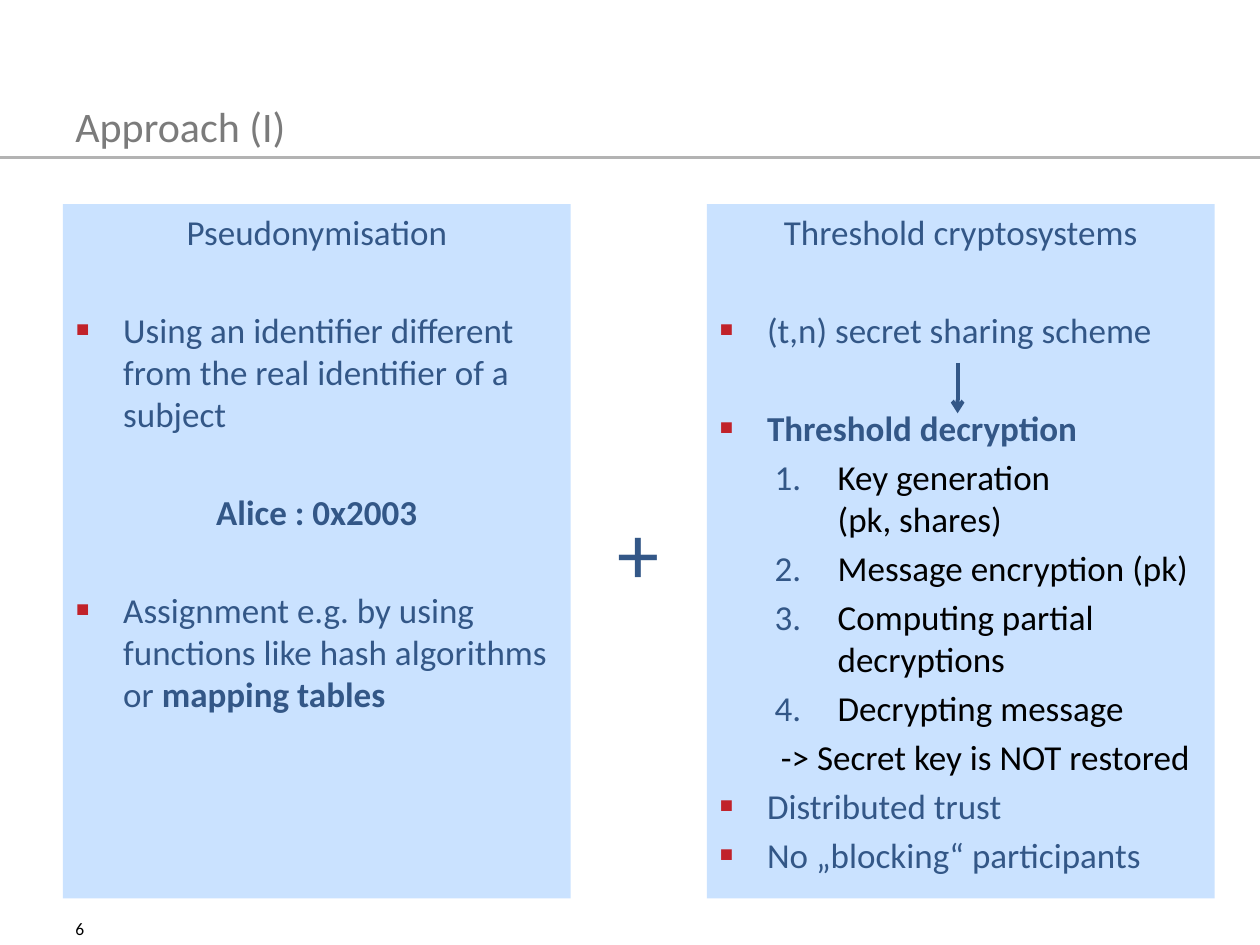
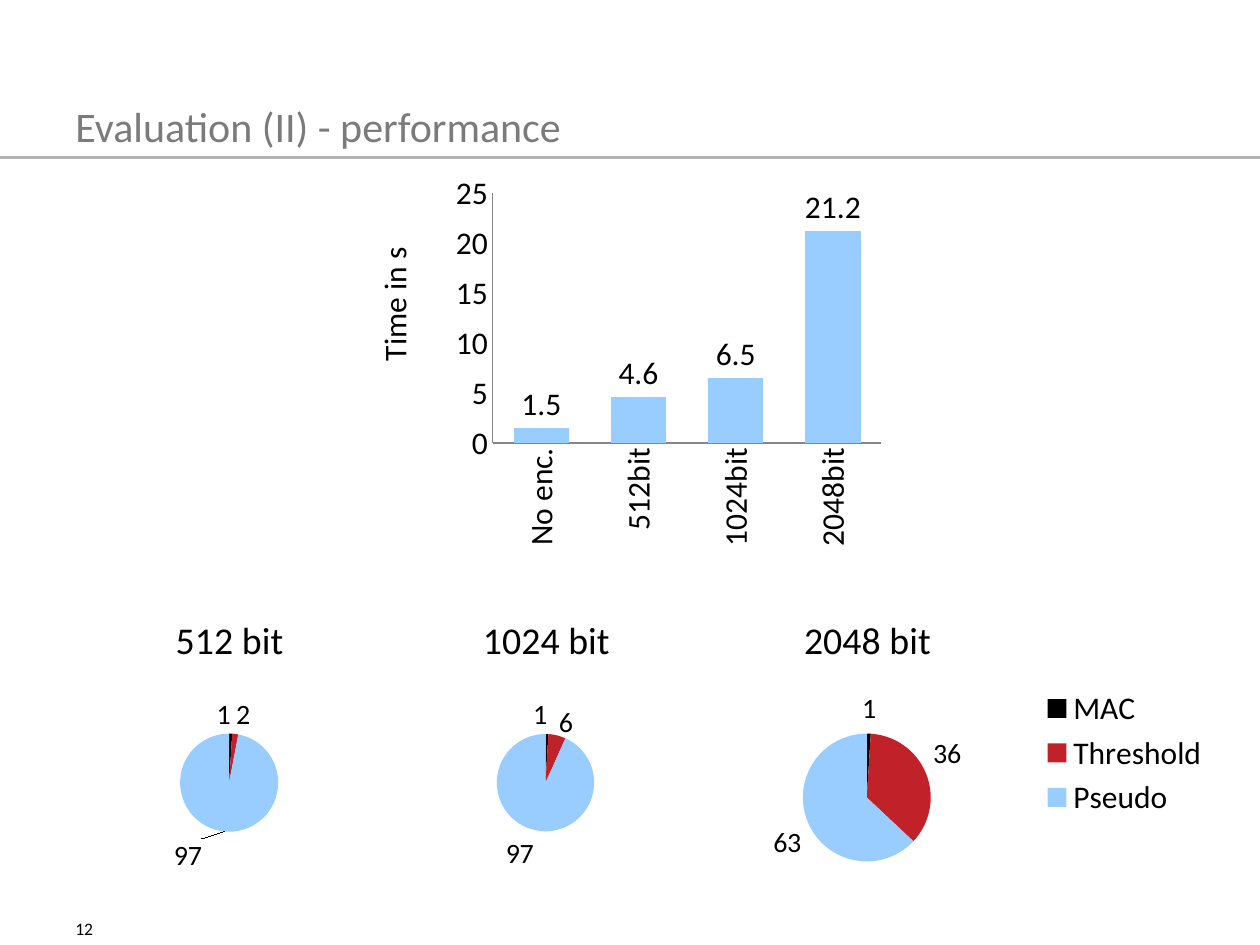
from dataclasses import dataclass
from enum import Enum

from lxml import etree
from pptx import Presentation
from pptx.chart.data import CategoryChartData
from pptx.dml.color import RGBColor
from pptx.enum import chart as charts, shapes, text
from pptx.oxml import ns
from pptx.util import Inches, Pt

BLUE = RGBColor(0x33, 0x57, 0x87)
PALE_BLUE = RGBColor(0xCA, 0xE2, 0xFF)
SKY = RGBColor(0x99, 0xCC, 0xFF)
RED = RGBColor(0xC1, 0x22, 0x2A)
BLACK = RGBColor(0, 0, 0)
TITLE_GRAY = RGBColor(0x7B, 0x7B, 0x7B)
RULE_GRAY = RGBColor(0xB3, 0xB3, 0xB3)
AXIS_GRAY = RGBColor(0x86, 0x86, 0x86)
FONT = "Calibri"

PANEL_TOP, PANEL_WIDTH, PANEL_HEIGHT = 1.62, 4.03, 5.51
LEFT_PANEL, RIGHT_PANEL = 0.5, 5.61
PIE_TOP, PIE_HEIGHT = 4.69, 2.36
SPACE_BEFORE, BLANK_LINE = 4, 28


class Style(Enum):
    CENTERED = "centered"
    BULLET = "bullet"
    STEP = "step"
    NOTE = "note"


@dataclass
class Item:
    text: str
    style: Style = Style.BULLET
    bold_tail: str = ""
    gap: bool = False


@dataclass
class Pie:
    title: str
    left: float
    width: float
    values: tuple[int, ...]
    title_x: float
    plot: tuple[float, ...]
    label_shifts: dict[int, tuple[float, float]]
    categories: tuple[str, ...] = ("1", "2", "3")
    legend: bool = False


PSEUDONYMISATION = [
    Item("Pseudonymisation", Style.CENTERED),
    Item("Using an identifier different from the real identifier of a subject", gap=True),
    Item("", Style.CENTERED, "Alice : 0x2003", gap=True),
    Item("Assignment e.g. by using functions like hash algorithms or ",
         bold_tail="mapping tables", gap=True),
]
THRESHOLD = [
    Item("Threshold cryptosystems", Style.CENTERED),
    Item("(t,n) secret sharing scheme", gap=True),
    Item("", bold_tail="Threshold decryption", gap=True),
    Item("Key generation\v(pk, shares)", Style.STEP),
    Item("Message encryption (pk)", Style.STEP),
    Item("Computing partial decryptions", Style.STEP),
    Item("Decrypting message", Style.STEP),
    Item("-> Secret key is NOT restored", Style.NOTE),
    Item("Distributed trust"),
    Item("No „blocking“ participants"),
]
PIES = [
    Pie("512 bit", 0.35, 2.91, (1, 2, 97), 0.34, (0.37, 0.48, 0.27, 0.33),
        {0: (-0.02, 0.02), 1: (0, 0.02), 2: (-0.06, 0)}),
    Pie("1024 bit", 2.95, 2.76, (1, 6, 97), 0.3, (0.36, 0.48, 0.28, 0.33),
        {0: (-0.02, 0.02), 1: (0, 0.04)}),
    Pie("2048 bit", 5.55, 4.09, (1, 36, 63), 0.19, (0.2, 0.48, 0.25, 0.43),
        {}, ("MAC", "Threshold", "Pseudo"), True),
]


def set_font(font, size: float, color: RGBColor, bold: bool = False) -> None:
    font.name = FONT
    font.size = Pt(size)
    font.color.rgb = color
    font.bold = bold


def add_label(page, content: str, area: tuple[float, ...], size: float,
              color: RGBColor, anchor=text.MSO_ANCHOR.BOTTOM):
    box = page.shapes.add_textbox(*map(Inches, area))
    box.text_frame.word_wrap = True
    box.text_frame.vertical_anchor = anchor
    para = box.text_frame.paragraphs[0]
    para.text = content
    set_font(para.font, size, color)
    return para


def add_line(page, start: tuple[float, float], end: tuple[float, float],
             color: RGBColor, width: float):
    line = page.shapes.add_connector(
        shapes.MSO_CONNECTOR.STRAIGHT, *map(Inches, start + end))
    line.line.color.rgb = color
    line.line.width = Pt(width)
    etree.SubElement(line._element.spPr, ns.qn("a:effectLst"))
    return line


def add_page(deck, title: str, number: int):
    page = deck.slides.add_slide(deck.slide_layouts[6])
    add_line(page, (0, 1.25), (10, 1.25), RULE_GRAY, 2)
    add_label(page, title, (0.5, 0.13, 9.25, 1.12), 24, TITLE_GRAY)
    add_label(page, str(number), (0.5, 7.23, 1.17, 0.27), 10, BLACK)
    return page


def set_indent(para, left: float, first: float) -> None:
    properties = para._p.get_or_add_pPr()
    properties.set("marL", str(Inches(left)))
    properties.set("indent", str(Inches(first)))


def add_marker(para, color: RGBColor, tag: str, **attributes: str) -> None:
    properties = para._p.get_or_add_pPr()
    paint = etree.SubElement(properties, ns.qn("a:buClr"))
    etree.SubElement(paint, ns.qn("a:srgbClr"), val=str(color))
    if tag == "a:buChar":
        etree.SubElement(properties, ns.qn("a:buSzPct"), val="120000")
    etree.SubElement(properties, ns.qn("a:buFont"), typeface=FONT)
    etree.SubElement(properties, ns.qn(tag), **attributes)


def write_item(para, item: Item) -> None:
    para.text = item.text
    if item.bold_tail:
        span = para.add_run()
        span.text = item.bold_tail
        span.font.bold = True
    para.alignment = text.PP_ALIGN.LEFT
    para.space_before = Pt(SPACE_BEFORE + BLANK_LINE * item.gap)
    if item.style is Style.CENTERED:
        para.alignment = text.PP_ALIGN.CENTER
    elif item.style is Style.BULLET:
        set_indent(para, 0.38, -0.38)
        add_marker(para, RED, "a:buChar", char="▪")
    elif item.style is Style.STEP:
        para.level = 1
        set_indent(para, 0.94, -0.5)
        add_marker(para, BLUE, "a:buAutoNum", type="arabicPeriod")
    else:
        para.level = 1
        set_indent(para, 0.49, 0)
    dark = item.style in (Style.STEP, Style.NOTE)
    set_font(para.font, 20, BLACK if dark else BLUE)


def add_panel(page, left: float, items: list[Item]) -> None:
    panel = page.shapes.add_shape(
        shapes.MSO_SHAPE.RECTANGLE, Inches(left), Inches(PANEL_TOP),
        Inches(PANEL_WIDTH), Inches(PANEL_HEIGHT))
    panel.shadow.inherit = False
    panel.fill.solid()
    panel.fill.fore_color.rgb = PALE_BLUE
    panel.line.fill.background()
    frame = panel.text_frame
    frame.word_wrap = True
    frame.vertical_anchor = text.MSO_ANCHOR.TOP
    for index, item in enumerate(items):
        write_item(frame.add_paragraph() if index else frame.paragraphs[0], item)


def set_layout(parent, index: int, inner: bool = False, edge: bool = True,
               **places: float) -> None:
    for old in parent.findall(ns.qn("c:layout")):
        parent.remove(old)
    layout = etree.Element(ns.qn("c:layout"))
    manual = etree.SubElement(layout, ns.qn("c:manualLayout"))
    if inner:
        etree.SubElement(manual, ns.qn("c:layoutTarget"), val="inner")
    if edge:
        for mode in ("c:xMode", "c:yMode"):
            etree.SubElement(manual, ns.qn(mode), val="edge")
    for name, value in places.items():
        etree.SubElement(manual, ns.qn(f"c:{name}"), val=str(value))
    parent.insert(index, layout)


def add_chart(page, kind, area: tuple[float, ...], name: str, categories, values,
              plot: tuple[float, ...]):
    data = CategoryChartData()
    data.categories = categories
    data.add_series(name, values)
    chart = page.shapes.add_chart(kind, *map(Inches, area), data).chart
    set_font(chart.font, 18, BLACK)
    chart.has_legend = False
    x, y, w, h = plot
    set_layout(chart._chartSpace.chart.plotArea, 0, inner=True, x=x, y=y, w=w, h=h)
    labels = chart.plots[0].series[0].data_labels
    labels.show_value = True
    labels.position = charts.XL_LABEL_POSITION.OUTSIDE_END
    return chart


def write_title(title, content: str, size: float, x: float, y: float) -> None:
    para = title.text_frame.paragraphs[0]
    para.text = content
    set_font(para.font, size, BLACK)
    set_layout(title._element, 1, x=x, y=y)


def add_time_chart(page) -> None:
    chart = add_chart(
        page, charts.XL_CHART_TYPE.COLUMN_CLUSTERED, (2.91, 1.31, 4.17, 3.2),
        "Series 1", ("No enc.", "512bit", "1024bit", "2048bit"),
        (1.5, 4.6, 6.5, 21.2), (0.24, 0.07, 0.74, 0.62))
    chart.has_title = False
    bars = chart.plots[0]
    bars.gap_width = 75
    bars.vary_by_categories = False
    bars.series[0].format.fill.solid()
    bars.series[0].format.fill.fore_color.rgb = SKY
    set_font(bars.series[0].data_labels.font, 18, BLACK)
    for axis in (chart.category_axis, chart.value_axis):
        axis.has_major_gridlines = False
        axis.major_tick_mark = charts.XL_TICK_MARK.NONE
        axis.minor_tick_mark = charts.XL_TICK_MARK.NONE
        axis.format.line.color.rgb = AXIS_GRAY
        set_font(axis.tick_labels.font, 18, BLACK)
    body = chart.category_axis._element.find(f"{ns.qn('c:txPr')}/{ns.qn('a:bodyPr')}")
    body.set("rot", "-5400000")
    body.set("vert", "horz")
    chart.value_axis.minimum_scale = 0
    chart.value_axis.maximum_scale = 25
    chart.value_axis.major_unit = 5
    write_title(chart.value_axis.axis_title, "Time in s", 18, 0, 0.19)


def add_pie(page, pie: Pie) -> None:
    chart = add_chart(
        page, charts.XL_CHART_TYPE.PIE, (pie.left, PIE_TOP, pie.width, PIE_HEIGHT),
        pie.title, pie.categories, pie.values, pie.plot)
    chart.has_title = True
    write_title(chart.chart_title, pie.title, 21.6, pie.title_x, 0.05)
    series = chart.plots[0].series[0]
    set_font(series.data_labels.font, 16, BLACK)
    for index, color in enumerate((BLACK, RED, SKY)):
        fill = series.points[index].format.fill
        fill.solid()
        fill.fore_color.rgb = color
    for index, (across, down) in pie.label_shifts.items():
        label = series.points[index].data_label
        set_font(label.font, 16, BLACK)
        label.position = charts.XL_LABEL_POSITION.OUTSIDE_END
        element = series._element.xpath(f"c:dLbls/c:dLbl[c:idx/@val='{index}']")[0]
        set_layout(element, 1, edge=False, x=across, y=down)
    if pie.legend:
        chart.has_legend = True
        chart.legend.position = charts.XL_LEGEND_POSITION.RIGHT
        chart.legend.include_in_layout = False
        set_font(chart.legend.font, 18, BLACK)
        set_layout(chart.legend._element, 1, x=0.66, y=0.31, w=0.33, h=0.47)


def build_approach(deck) -> None:
    page = add_page(deck, "Approach (I)", 6)
    plus_left = LEFT_PANEL + PANEL_WIDTH
    plus = add_label(
        page, "+", (plus_left, PANEL_TOP, RIGHT_PANEL - plus_left, PANEL_HEIGHT),
        48, BLUE, text.MSO_ANCHOR.MIDDLE)
    plus.alignment = text.PP_ALIGN.CENTER
    plus.space_before = Pt(9.6)
    plus.space_after = Pt(12)
    add_panel(page, LEFT_PANEL, PSEUDONYMISATION)
    add_panel(page, RIGHT_PANEL, THRESHOLD)
    arrow = add_line(page, (7.6, 2.88), (7.6, 3.28), BLUE, 2.25)
    etree.SubElement(arrow.line._get_or_add_ln(), ns.qn("a:tailEnd"), type="arrow")


def build_evaluation(deck) -> None:
    page = add_page(deck, "Evaluation (II) - performance", 12)
    add_time_chart(page)
    for pie in PIES:
        add_pie(page, pie)


def main() -> None:
    deck = Presentation()
    deck.slide_width, deck.slide_height = Inches(10), Inches(7.5)
    build_approach(deck)
    build_evaluation(deck)
    deck.save("out.pptx")


if __name__ == "__main__":
    main()
